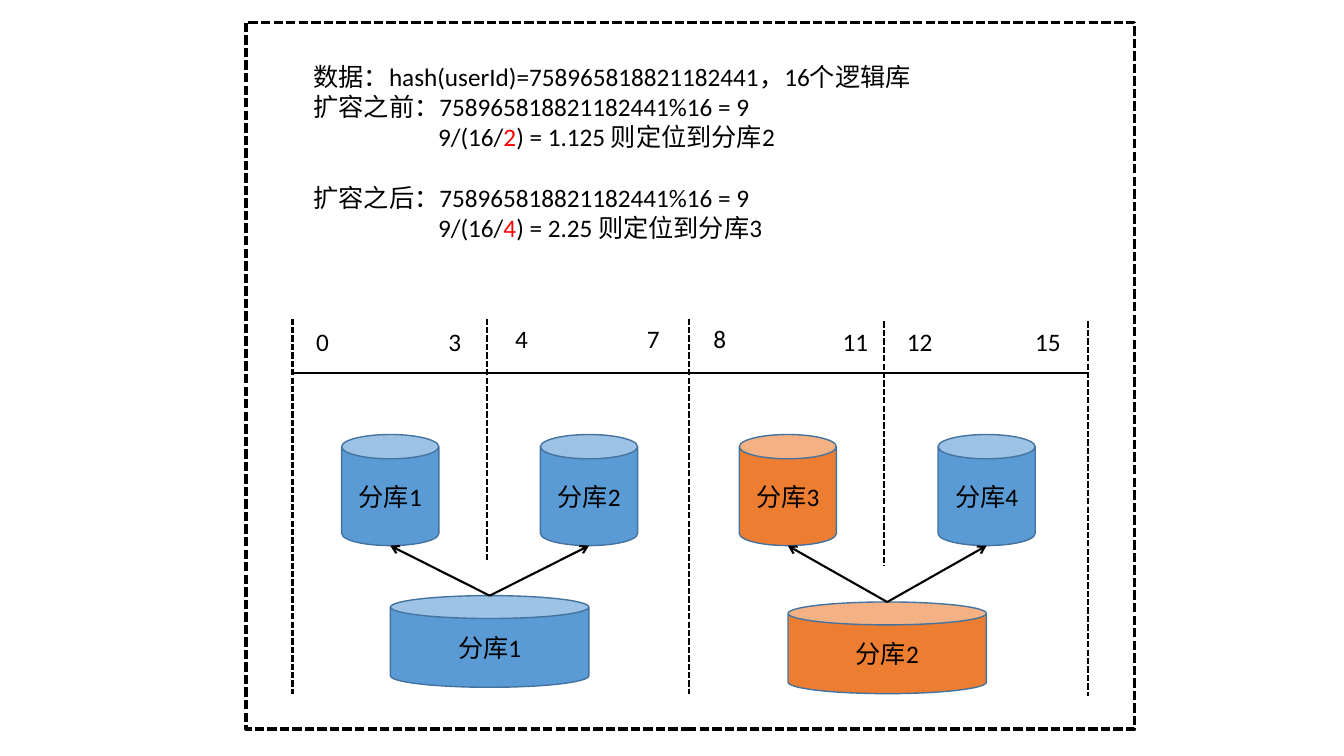
from lxml import etree
from pptx import Presentation
from pptx.dml.color import RGBColor
from pptx.enum import dml, shapes, text
from pptx.oxml import ns
from pptx.util import Cm, Pt

COLORS = {"black": "000000", "white": "FFFFFF", "red": "FF0000",
          "blue": "5B9BD5", "orange": "ED7D31", "outline": "43739E"}
FONT = "Calibri"
SHAPE = shapes.MSO_SHAPE
ALIGN = text.PP_ALIGN


def color(name):
    return RGBColor.from_string(COLORS[name])


def style_line(line, name="black", width=1.5, dashed=False):
    line.color.rgb = color(name)
    line.width = Pt(width)
    if dashed:
        line.dash_style = dml.MSO_LINE.SQUARE_DOT


def add_text(p, content, size=18, fill="black", align=None, indent=0, before=0):
    """Append a run to paragraph p and set the paragraph's layout."""
    r = p.add_run()
    r.text = content
    r.font.size = Pt(size)
    r.font.name = FONT
    r.font.color.rgb = color(fill)
    if align is not None:
        p.alignment = align
    if indent:
        p._p.get_or_add_pPr().set("marL", str(Cm(indent)))
    if before:
        p.space_before = Pt(before)


def add_box(s, kind, x, y, w, h, fill, outline, width=1, dashed=False):
    sp = s.shapes.add_shape(kind, Cm(x), Cm(y), Cm(w), Cm(h))
    sp.shadow.inherit = False
    sp.fill.solid()
    sp.fill.fore_color.rgb = color(fill)
    style_line(sp.line, outline, width, dashed)
    return sp


def add_database(s, label, x, y, w, h, fill):
    sp = add_box(s, SHAPE.CAN, x, y, w, h, fill, "outline")
    tf = sp.text_frame
    tf.vertical_anchor = text.MSO_ANCHOR.MIDDLE
    add_text(tf.paragraphs[0], label, align=ALIGN.CENTER)


def add_line(s, x1, y1, x2, y2, dashed=False, arrow=False):
    line = s.shapes.add_connector(shapes.MSO_CONNECTOR.STRAIGHT,
                                  Cm(x1), Cm(y1), Cm(x2), Cm(y2))
    style_line(line.line, dashed=dashed)
    if arrow:
        ln = line.line._get_or_add_ln()
        etree.SubElement(ln, ns.qn("a:tailEnd"), type="arrow")
    etree.SubElement(line._element.spPr, ns.qn("a:effectLst"))


def add_text_box(s, x, y, w, h):
    tf = s.shapes.add_textbox(Cm(x), Cm(y), Cm(w), Cm(h)).text_frame
    tf.word_wrap = True
    return tf


def add_calculation(s):
    tf = add_text_box(s, 7.65, 1.42, 19.13, 5.59)
    hash_value = "758965818821182441"
    add_text(tf.paragraphs[0], f"数据：hash(userId)={hash_value}，16个逻辑库")
    steps = [("扩容之前", "2", "1.125", 2, 0), ("扩容之后", "4", "2.25", 3, 21.6)]
    for stage, count, quotient, target, before in steps:
        add_text(tf.add_paragraph(), f"{stage}：{hash_value}%16 = 9", before=before)
        p = tf.add_paragraph()
        add_text(p, "9/(16/", indent=3.14)
        add_text(p, count, fill="red")
        add_text(p, f") = {quotient} 则定位到分库{target}")


def add_scale(s):
    add_line(s, 7.37, 9.4, 27.41, 9.4)
    dividers = [(7.37, 8.03, 17.48), (12.27, 8.03, 14.12), (17.37, 8.03, 17.48),
                (22.28, 8.1, 14.27), (27.41, 8.1, 17.55)]
    for x, top, bottom in dividers:
        add_line(s, x, top, x, bottom, dashed=True)

    labels = [("0", 7.72, 8.1, 0.89), ("3", 11.05, 8.1, 0.89),
              ("4", 12.73, 8.03, 0.89), ("7", 16.05, 8.03, 0.89),
              ("8", 17.73, 8.03, 0.89), ("11", 20.85, 8.1, 1.42),
              ("12", 22.28, 8.1, 1.8), ("15", 25.65, 8.1, 1.52)]
    for label, x, y, w in labels:
        align = ALIGN.CENTER if len(label) > 1 else ALIGN.LEFT
        add_text(add_text_box(s, x, y, w, 1.02).paragraphs[0], label, align=align)


def add_databases(s):
    left, pitch, top, w, h = 8.61, 5.01, 10.95, 2.45, 2.8
    big_w, big_h = 5, 2.31

    # Databases after the split
    for i, fill in enumerate(["blue", "blue", "orange", "blue"]):
        add_database(s, f"分库{i + 1}", left + i * pitch, top, w, h, fill)

    # Databases before the split, each with arrows to its two successors
    for i, (y, fill) in enumerate([(15.01, "blue"), (15.17, "orange")]):
        first = left + w / 2 + 2 * i * pitch
        center = first + pitch / 2
        add_database(s, f"分库{i + 1}", center - big_w / 2, y, big_w, big_h, fill)
        for x in (first, first + pitch):
            add_line(s, center, y, x, top + h, arrow=True)


def main():
    prs = Presentation()
    prs.slide_width, prs.slide_height = Cm(33.87), Cm(19.05)
    s = prs.slides.add_slide(prs.slide_layouts[6])

    # Frame
    add_box(s, SHAPE.RECTANGLE, 6.2, 0.56, 22.4, 17.81,
            "white", "black", 2.25, dashed=True)
    add_scale(s)
    add_databases(s)
    add_calculation(s)
    prs.save("out.pptx")


if __name__ == "__main__":
    main()
